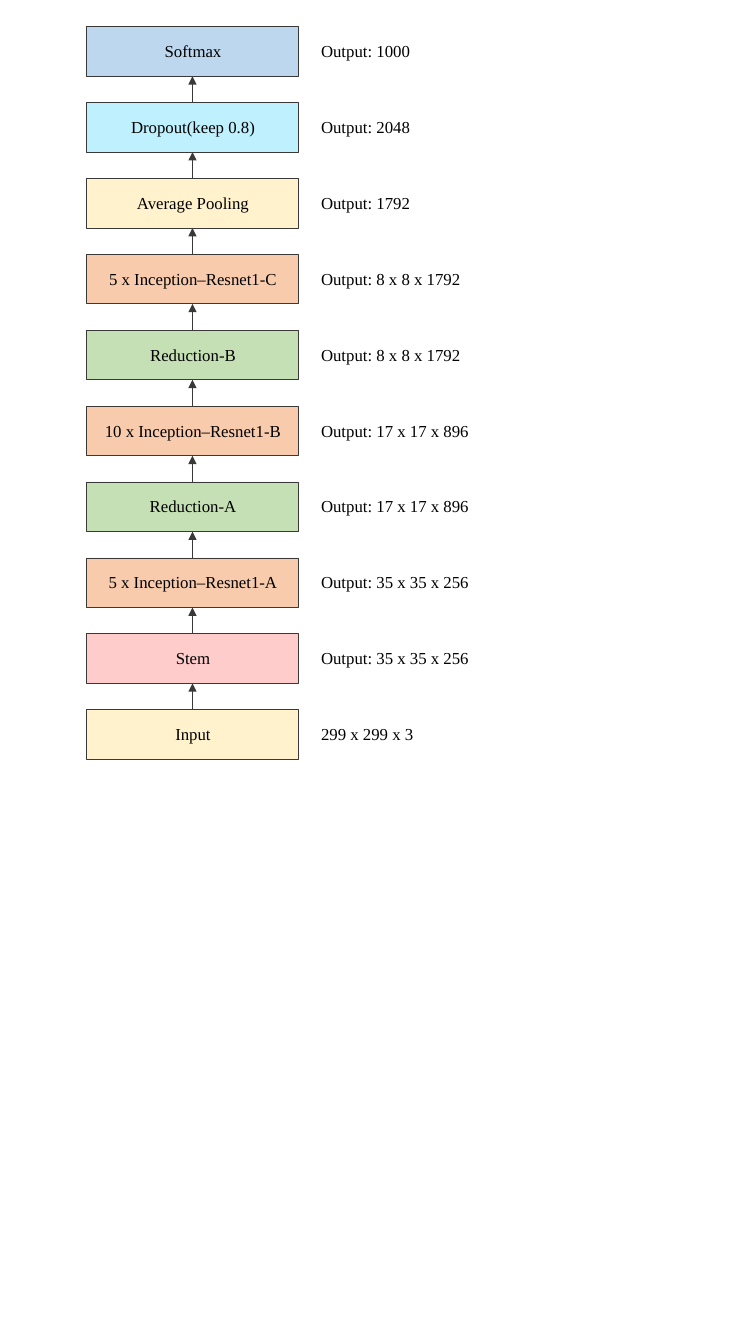
import pptx
import pptx.dml.color
import pptx.enum.shapes
import pptx.enum.text
import pptx.oxml
import pptx.oxml.ns
import pptx.util

FONT = "Times New Roman"
OUTLINE = "3B3838"
LAYERS = [
    ("Softmax", "BDD7EE", "Output: 1000"),
    ("Dropout(keep 0.8)", "BEF0FE", "Output: 2048"),
    ("Average Pooling", "FFF2CC", "Output: 1792"),
    ("5 x Inception–Resnet1-C", "F8CBAD", "Output: 8 x 8 x 1792"),
    ("Reduction-B", "C5E0B4", "Output: 8 x 8 x 1792"),
    ("10 x Inception–Resnet1-B", "F8CBAD", "Output: 17 x 17 x 896"),
    ("Reduction-A", "C5E0B4", "Output: 17 x 17 x 896"),
    ("5 x Inception–Resnet1-A", "F8CBAD", "Output: 35 x 35 x 256"),
    ("Stem", "FFCCCC", "Output: 35 x 35 x 256"),
    ("Input", "FFF2CC", "299 x 299 x 3"),
]
LAYER_HEIGHT = pptx.util.Cm(1.25)


def color(hex_string):
    return pptx.dml.color.RGBColor.from_string(hex_string)


def write_text(shape, text, alignment):
    frame = shape.text_frame
    frame.word_wrap = True
    frame.vertical_anchor = pptx.enum.text.MSO_ANCHOR.MIDDLE
    frame.margin_left = pptx.util.Cm(0.28)
    frame.margin_bottom = pptx.util.Cm(0.15)
    paragraph = frame.paragraphs[0]
    paragraph.alignment = alignment
    run = paragraph.add_run()
    run.text = text
    run.font.name = FONT
    run.font.size = pptx.util.Pt(12)
    run.font.color.rgb = color("000000")


def style_line(line):
    line.color.rgb = color(OUTLINE)
    line.width = pptx.util.Pt(0.5)


def add_layer(slide, left, top, width, height, name, fill):
    shape = slide.shapes.add_shape(
        pptx.enum.shapes.MSO_SHAPE.RECTANGLE, left, top, width, height)
    shape.shadow.inherit = False
    shape.fill.solid()
    shape.fill.fore_color.rgb = color(fill)
    style_line(shape.line)
    write_text(shape, name, pptx.enum.text.PP_ALIGN.CENTER)
    return shape


def add_arrow(slide, lower, upper):
    center = lower.left + lower.width // 2
    arrow = slide.shapes.add_connector(
        pptx.enum.shapes.MSO_CONNECTOR.STRAIGHT,
        center, lower.top, center, upper.top + upper.height)
    arrow.begin_connect(lower, 0)
    arrow.end_connect(upper, 2)
    style_line(arrow.line)
    properties = arrow._element.spPr
    tail = pptx.oxml.parse_xml(
        f'<a:tailEnd {pptx.oxml.ns.nsdecls("a")} type="triangle"/>')
    properties.find(pptx.oxml.ns.qn("a:ln")).append(tail)
    properties.append(pptx.oxml.parse_xml(
        f'<a:effectLst {pptx.oxml.ns.nsdecls("a")}/>'))


def row_tops(top, height):
    pitch = (height - LAYER_HEIGHT) // (len(LAYERS) - 1)
    return [top + row * pitch for row in range(len(LAYERS))]


def add_layer_stack(slide, left, top, width, height):
    layers = [
        add_layer(slide, left, row_top, width, LAYER_HEIGHT, name, fill)
        for row_top, (name, fill, output) in zip(row_tops(top, height), LAYERS)
    ]
    for upper, lower in zip(layers, layers[1:]):
        add_arrow(slide, lower, upper)


def add_output_column(slide, left, top, width, height):
    for row_top, (name, fill, output) in zip(row_tops(top, height), LAYERS):
        label = slide.shapes.add_textbox(left, row_top, width, LAYER_HEIGHT)
        write_text(label, output, pptx.enum.text.PP_ALIGN.LEFT)


def main():
    presentation = pptx.Presentation()
    presentation.slide_width = pptx.util.Cm(19.05)
    presentation.slide_height = pptx.util.Cm(33.86)
    slide = presentation.slides.add_slide(presentation.slide_layouts[6])
    top, height = pptx.util.Cm(0.67), pptx.util.Cm(18.46)
    add_layer_stack(slide, pptx.util.Cm(2.18), top, pptx.util.Cm(5.34), height)
    add_output_column(slide, pptx.util.Cm(7.81), top, pptx.util.Cm(4.8), height)
    presentation.save("out.pptx")


if __name__ == "__main__":
    main()
